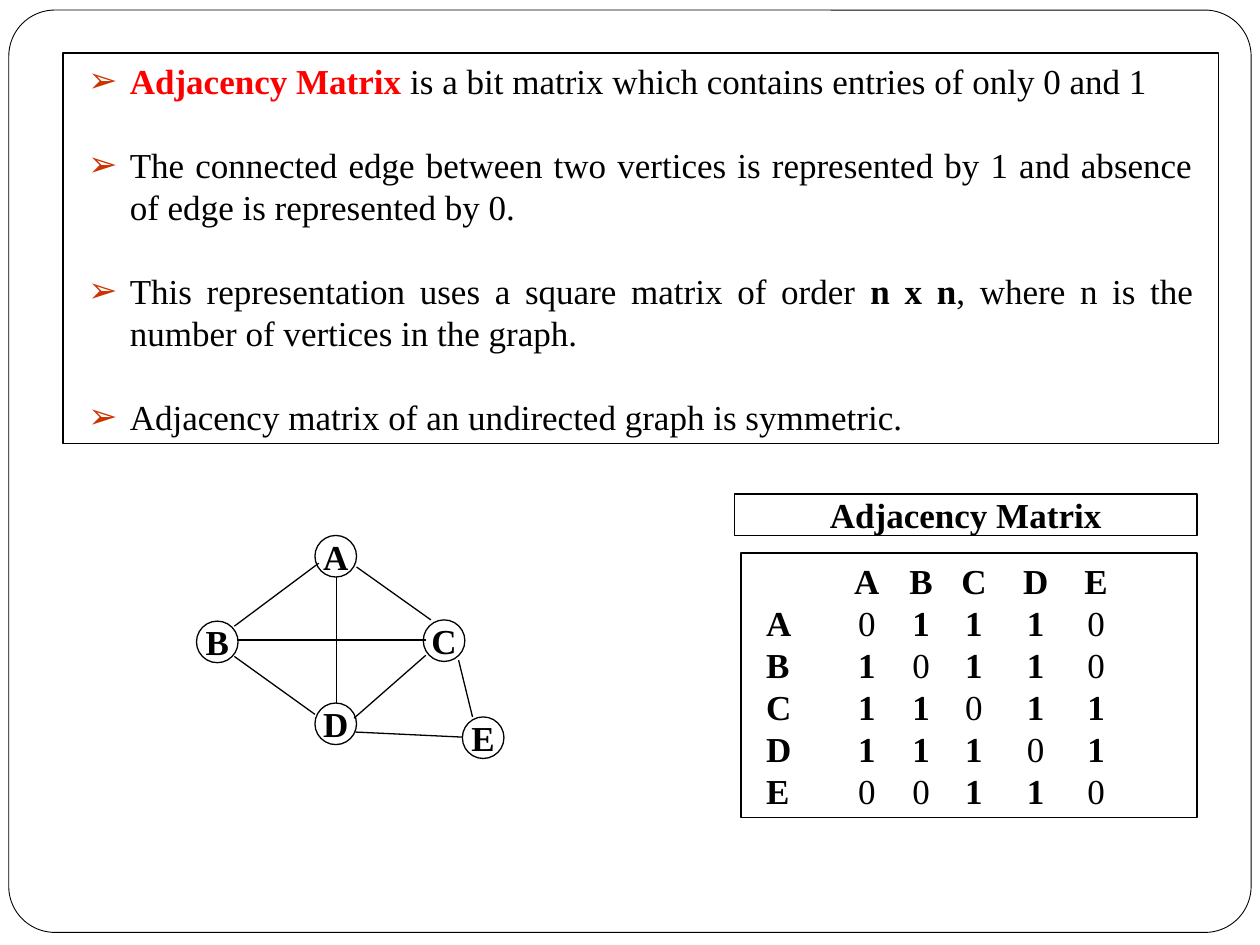
"""Build a slide on the adjacency matrix of an undirected graph."""
from lxml import etree
from pptx import Presentation
from pptx.dml.color import RGBColor
from pptx.enum.shapes import MSO_CONNECTOR, MSO_SHAPE
from pptx.enum.text import MSO_ANCHOR, MSO_AUTO_SIZE, PP_ALIGN
from pptx.oxml.ns import qn
from pptx.util import Inches, Pt

LINE = MSO_CONNECTOR.STRAIGHT
OVAL, ROUND = MSO_SHAPE.OVAL, MSO_SHAPE.ROUNDED_RECTANGLE
TOP, MIDDLE = MSO_ANCHOR.TOP, MSO_ANCHOR.MIDDLE
LEFT, CENTER, JUSTIFY = PP_ALIGN.LEFT, PP_ALIGN.CENTER, PP_ALIGN.JUSTIFY
NONE = MSO_AUTO_SIZE.NONE
BLACK, RED, RUST = "000000", "FF0000", "CC3300"


def style(shape, side, anchor, wrap=True, width=0.75):
    shape.fill.background()
    shape.line.color.rgb = RGBColor.from_string(BLACK)
    shape.line.width = Pt(width)
    frame = shape.text_frame
    frame.auto_size = NONE
    frame.word_wrap = wrap
    frame.vertical_anchor = anchor
    frame.margin_left = frame.margin_right = Inches(side)
    frame.margin_top = frame.margin_bottom = Inches(0.05)
    return frame


def write(para, text, bold=True, color=BLACK):
    run = para.add_run()
    run.text = text
    font = run.font
    font.name, font.size, font.bold = "Times New Roman", Pt(20), bold
    font.color.rgb = RGBColor.from_string(color)


deck = Presentation()
deck.slide_width, deck.slide_height = Inches(10), Inches(7.5)
slide = deck.slides.add_slide(deck.slide_layouts[1])
shapes = slide.shapes

border = shapes.add_shape(ROUND, Inches(0.07), Inches(0.08), Inches(9.86), Inches(7.32))
border.adjustments[0] = 0.05
border.shadow.inherit = False
style(border, 0.1, MIDDLE, width=0.5)

title = shapes.title
title.left, title.top = Inches(5.83), Inches(3.92)
title.width, title.height = Inches(3.67), Inches(0.33)
head = style(title, 0.1, MIDDLE).paragraphs[0]
head.alignment = CENTER
write(head, "Adjacency Matrix")

body = slide.placeholders[1]
body.left, body.top = Inches(0.5), Inches(0.42)
body.width, body.height = Inches(9.17), Inches(3.1)
frame = style(body, 0.2, TOP)
points = [
    (JUSTIFY, [("Adjacency Matrix", True, RED),
               (" is a bit matrix which contains entries of only 0 and 1", False, BLACK)]),
    (JUSTIFY, [("The connected edge between two vertices is represented by 1 "
                "and absence of edge is represented by 0.", False, BLACK)]),
    (JUSTIFY, [("This representation uses a square matrix of order ", False, BLACK),
               ("n x n", True, BLACK),
               (", where n is the number of vertices in the graph.", False, BLACK)]),
    (LEFT, [("Adjacency matrix of an undirected graph is symmetric.", False, BLACK)]),
]
for i, (align, runs) in enumerate(points):
    para = frame.add_paragraph() if i else frame.paragraphs[0]
    props = para._p.get_or_add_pPr()
    props.set("marL", str(Inches(0.33)))
    props.set("indent", str(-Inches(0.33)))
    tint = etree.SubElement(props, qn("a:buClr"))
    etree.SubElement(tint, qn("a:srgbClr"), val=RUST)
    etree.SubElement(props, qn("a:buChar"), char="➢")
    para.alignment = align
    para.line_spacing = Pt(24)
    para.space_before = Pt(24 if i else 0)
    for text, bold, color in runs:
        write(para, text, bold, color)

matrix = shapes.add_textbox(Inches(5.88), Inches(4.39), Inches(3.62), Inches(2.1))
frame = style(matrix, 0.2, TOP)
rows = [("", "ABCDE"), ("A", "01110"), ("B", "10110"),
        ("C", "11011"), ("D", "11101"), ("E", "00110")]
for i, (name, cells) in enumerate(rows):
    para = frame.add_paragraph() if i else frame.paragraphs[0]
    tabs = etree.SubElement(para._p.get_or_add_pPr(), qn("a:tabLst"))
    for stop in (0.8, 1.23, 1.65, 2.14, 2.62):
        etree.SubElement(tabs, qn("a:tab"), pos=str(Inches(stop)), algn="ctr")
    para.line_spacing = Pt(24)
    if name:
        write(para, name)
    for cell in cells:
        write(para, "\t" + cell, cell != "0")

graph = shapes.add_group_shape().shapes
nodes = {"A": (2.5, 4.25), "B": (1.56, 4.93), "C": (3.36, 4.92),
         "D": (2.5, 5.58), "E": (3.67, 5.69)}
for name, (x, y) in nodes.items():
    node = graph.add_shape(OVAL, Inches(x), Inches(y), Inches(0.33), Inches(0.33))
    node.shadow.inherit = False
    para = style(node, 0.1, MIDDLE, wrap=False).paragraphs[0]
    para.alignment = CENTER
    write(para, name)

edges = [
    (2.53, 4.47, 1.86, 4.97), (2.5, 5.67, 1.86, 5.21),
    (3.42, 4.92, 2.83, 4.5), (3.38, 5.2, 2.81, 5.7),
    (3.75, 5.69, 3.64, 5.24), (3.67, 5.85, 2.82, 5.81),
    (2.67, 4.58, 2.67, 5.58), (1.88, 5.08, 3.38, 5.08),
]
for ends in edges:
    edge = graph.add_connector(LINE, *map(Inches, ends))
    edge.line.color.rgb = RGBColor.from_string(BLACK)
    edge.line.width = Pt(0.75)
    etree.SubElement(edge._element.spPr, qn("a:effectLst"))

deck.save("out.pptx")
